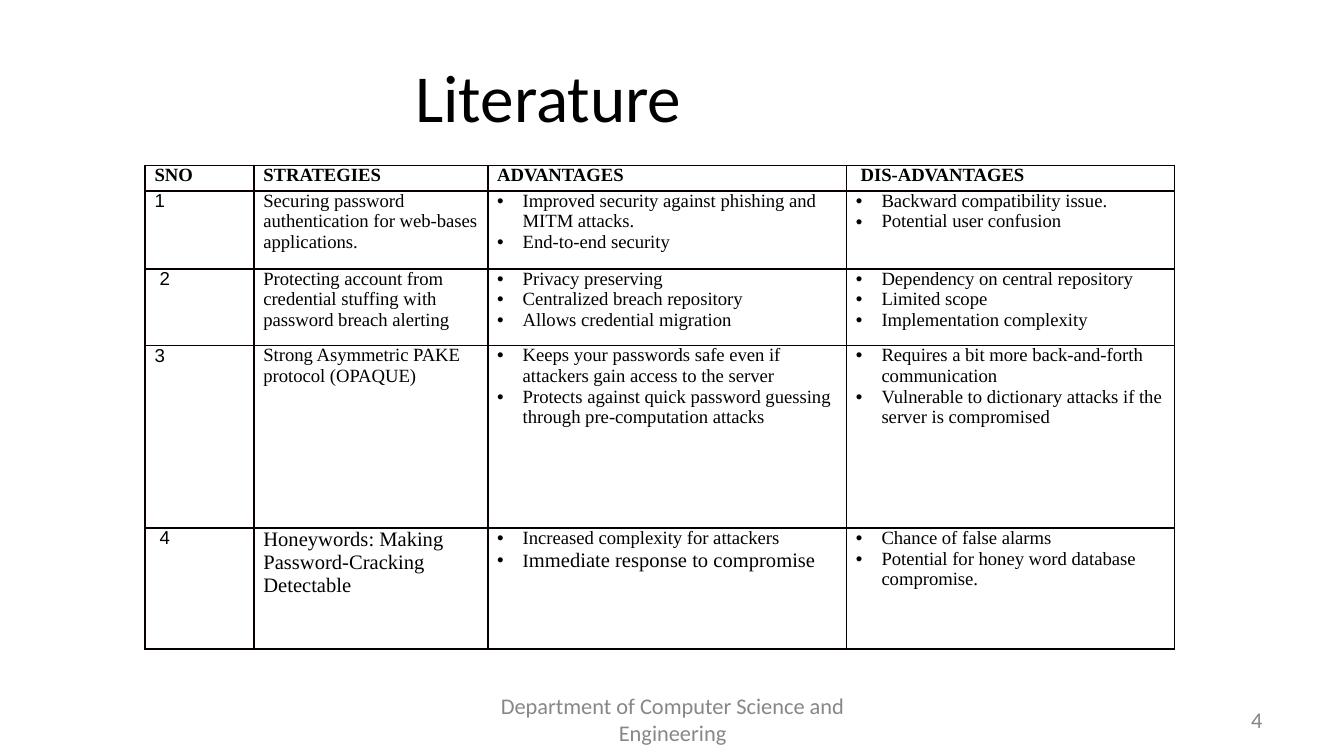
"""Build the literature slide with its table of password strategies."""
from dataclasses import dataclass

from lxml.etree import SubElement
from pptx import Presentation
from pptx.dml.color import RGBColor
from pptx.enum.text import MSO_ANCHOR, PP_ALIGN
from pptx.oxml.ns import qn
from pptx.slide import Slide
from pptx.table import Table, _Cell
from pptx.text.text import TextFrame, _Paragraph
from pptx.util import Inches, Pt

COLORS = {"ink": "000000", "border": "080000", "paper": "FFFFFF", "footer": "878787"}
SERIF = "Times New Roman"
SLIDE_WIDTH = 10
HEADINGS = ("SNO", "STRATEGIES", "ADVANTAGES", " DIS-ADVANTAGES")
COLUMN_WIDTHS = (0.81, 1.74, 2.67, 2.44)
ROW_HEIGHTS = (0.19, 0.58, 0.57, 1.36, 0.9)


@dataclass(frozen=True)
class Span:
    text: str
    size: float = 10


@dataclass(frozen=True)
class Strategy:
    number: str
    name: Span
    advantages: tuple[tuple[Span, ...], ...]
    disadvantages: tuple[tuple[Span, ...], ...]


@dataclass(frozen=True)
class FooterBox:
    left: float
    top: float
    width: float
    height: float
    lines: tuple[str, ...]
    align: PP_ALIGN = PP_ALIGN.LEFT
    indent: float = 0


def points(*texts: str) -> tuple[tuple[Span, ...], ...]:
    """Make one plain list item of each text."""
    return tuple((Span(text),) for text in texts)


STRATEGIES = (
    Strategy("1", Span("Securing password authentication for web-bases applications."),
             points("Improved security against phishing and MITM attacks.", "End-to-end security"),
             points("Backward compatibility issue.", "Potential user confusion")),
    Strategy(" 2", Span("Protecting account from credential stuffing with password breach alerting"),
             points("Privacy preserving", "Centralized breach repository", "Allows credential migration"),
             points("Dependency on central repository", "Limited scope", "Implementation complexity")),
    Strategy("3", Span("Strong Asymmetric PAKE protocol (OPAQUE)"),
             points("Keeps your passwords safe even if attackers gain access to the server",
                    "Protects against quick password guessing through pre-computation attacks"),
             points("Requires a bit more back-and-forth communication",
                    "Vulnerable to dictionary attacks if the server is compromised")),
    Strategy(" 4", Span("Honeywords: Making Password-Cracking Detectable", 11),
             points("Increased complexity for attackers")
             + ((Span("I"), Span("mmediate response to compromise", 11)),),
             points("Chance of false alarms", "Potential for honey word database compromise.")),
)
FOOTERS = (
    FooterBox(3.71, 5.18, 2.59, 0.4,
              ("Department of Computer Science and", "Engineering"), PP_ALIGN.CENTER),
    FooterBox(9.27, 5.28, 0.17, 0.19, ("4",), indent=0.04),
)


def write(paragraph: _Paragraph, text: str, *, size: float = 10, font: str = SERIF,
          color: str = "ink", bold: bool = False, align: PP_ALIGN = PP_ALIGN.LEFT,
          indent: float = 0, hanging: float = 0) -> None:
    """Append a formatted run to a paragraph."""
    paragraph.alignment = align
    properties = paragraph._p.get_or_add_pPr()
    properties.set("marL", str(Inches(indent)))
    properties.set("indent", str(Inches(-hanging)))
    run = paragraph.add_run()
    run.text = text
    run.font.size, run.font.name, run.font.bold = Pt(size), font, bold
    run.font.color.rgb = RGBColor.from_string(COLORS[color])


def next_paragraph(frame: TextFrame, index: int) -> _Paragraph:
    """Return the first paragraph or add a further one."""
    return frame.add_paragraph() if index else frame.paragraphs[0]


def clear_margins(frame: TextFrame) -> None:
    """Take the inner margins off a text frame."""
    frame.margin_left = frame.margin_right = frame.margin_top = frame.margin_bottom = 0
    frame.word_wrap = True


def style_cell(cell: _Cell) -> None:
    """Give a cell its margins, borders and fill."""
    cell.margin_left = cell.margin_right = Inches(0.07)
    cell.margin_top = cell.margin_bottom = 0
    properties = cell._tc.get_or_add_tcPr()
    for side in ("a:lnL", "a:lnR", "a:lnT", "a:lnB"):
        line = SubElement(properties, qn(side), w=str(Pt(1)))
        SubElement(SubElement(line, qn("a:solidFill")), qn("a:srgbClr"), val=COLORS["border"])
    cell.fill.solid()
    cell.fill.fore_color.rgb = RGBColor.from_string(COLORS["paper"])


def write_list(cell: _Cell, items: tuple[tuple[Span, ...], ...]) -> None:
    """Write bulleted items into a cell."""
    for index, spans in enumerate(items):
        item = next_paragraph(cell.text_frame, index)
        for span in spans:
            write(item, span.text, size=span.size, indent=0.19, hanging=0.19)
        properties = item._p.get_or_add_pPr()
        SubElement(properties, qn("a:buFont"), typeface="Arial")
        SubElement(properties, qn("a:buChar"), char="•")


def fill_table(table: Table) -> None:
    """Size the table and write its headings and strategies."""
    table.first_row = table.horz_banding = False
    for column, width in zip(table.columns, COLUMN_WIDTHS):
        column.width = Inches(width)
    for row, height in zip(table.rows, ROW_HEIGHTS):
        row.height = Inches(height)
    for cell in table.iter_cells():
        style_cell(cell)
    for cell, heading in zip(table.rows[0].cells, HEADINGS):
        write(cell.text_frame.paragraphs[0], heading, bold=True)
    for index, strategy in enumerate(STRATEGIES, start=1):
        number, name, advantages, disadvantages = table.rows[index].cells
        write(number.text_frame.paragraphs[0], strategy.number, font="Arial")
        write(name.text_frame.paragraphs[0], strategy.name.text, size=strategy.name.size)
        write_list(advantages, strategy.advantages)
        write_list(disadvantages, strategy.disadvantages)


def add_title(slide: Slide) -> None:
    """Place and write the slide title."""
    title = slide.shapes.title
    title.left, title.top = Inches(3.08), Inches(0.4)
    title.width, title.height = Inches(7.89), Inches(1.17)
    clear_margins(title.text_frame)
    title.text_frame.margin_top = Inches(0.01)
    title.text_frame.vertical_anchor = MSO_ANCHOR.TOP
    heading = title.text_frame.paragraphs[0]
    heading.space_before = Pt(1)
    write(heading, "Literature", size=36, font="Calibri", indent=0.01)


def add_footer(slide: Slide, footer: FooterBox) -> None:
    """Add one grey footer text."""
    box = slide.shapes.add_textbox(Inches(footer.left), Inches(footer.top),
                                   Inches(footer.width), Inches(footer.height))
    clear_margins(box.text_frame)
    for index, text in enumerate(footer.lines):
        line = next_paragraph(box.text_frame, index)
        write(line, text, size=12, font="Calibri", color="footer",
              align=footer.align, indent=footer.indent)
        if index == 0:
            line.line_spacing = Pt(12.4)


def main() -> None:
    """Build and save the slide."""
    deck = Presentation()
    deck.slide_width, deck.slide_height = Inches(SLIDE_WIDTH), Inches(SLIDE_WIDTH * 9 / 16)
    slide = deck.slides.add_slide(deck.slide_layouts[5])
    add_title(slide)
    for footer in FOOTERS:
        add_footer(slide, footer)
    strategies = slide.shapes.add_table(len(ROW_HEIGHTS), len(COLUMN_WIDTHS), Inches(1.08),
                                        Inches(1.23), Inches(sum(COLUMN_WIDTHS)),
                                        Inches(sum(ROW_HEIGHTS)))
    fill_table(strategies.table)
    deck.save("out.pptx")


if __name__ == "__main__":
    main()
